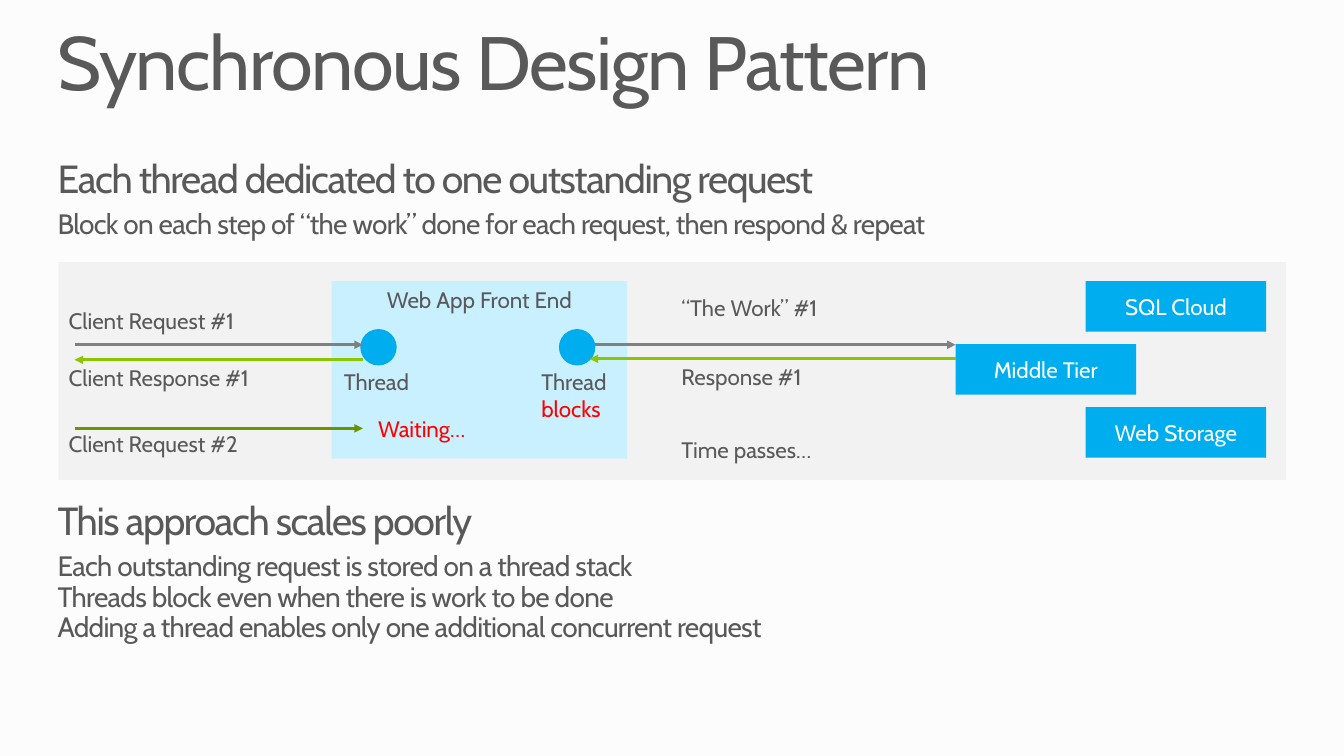
from lxml.etree import SubElement
from pptx import Presentation
from pptx.dml.color import RGBColor
from pptx.enum.shapes import MSO_CONNECTOR, MSO_SHAPE
from pptx.enum.text import MSO_ANCHOR, PP_ALIGN
from pptx.oxml.ns import qn
from pptx.util import Inches, Pt

colour = RGBColor.from_string
GREY, RED, WHITE, BLUE = "595959", "FF0000", "FFFFFF", "00AEEF"

deck = Presentation()
deck.slide_width, deck.slide_height = Inches(13.33), Inches(7.5)
slide = deck.slides.add_slide(deck.slide_layouts[6])
slide.background.fill.solid()
slide.background.fill.fore_color.rgb = colour("FCFCFC")


def place(*percents):
    sides = (deck.slide_width, deck.slide_height) * 2
    return [round(side * percent / 100) for side, percent in zip(sides, percents)]


def write(frame, text, size=16, hue=GREY, tracking=0, after=0, leading=1.0, align=PP_ALIGN.LEFT):
    paragraph = frame.add_paragraph() if frame.text else frame.paragraphs[0]
    paragraph.alignment = align
    paragraph.line_spacing = leading
    paragraph.space_after = Pt(after)
    run = paragraph.add_run()
    run.text = text
    run.font.size = Pt(size)
    run.font.name = "Cabin"
    run.font.color.rgb = colour(hue)
    run._r.get_or_add_rPr().set("spc", str(tracking))


prose = [
    (3.33, 10.93, [("Synchronous Design Pattern", 54, -100, 0)]),
    (21.07, 12, [
        ("Each thread dedicated to one outstanding request", 28, -100, 6),
        ("Block on each step of “the work” done for each request, then respond & repeat", 20, -50, 0),
    ]),
    (66.4, 20, [
        ("This approach scales poorly", 28, -100, 6),
        ("Each outstanding request is stored on a thread stack", 20, -50, 0),
        ("Threads block even when there is work to be done", 20, -50, 0),
        ("Adding a thread enables only one additional concurrent request", 20, -50, 0),
    ]),
]
for top, height, lines in prose:
    frame = slide.shapes.add_textbox(*place(4.28, top, 91.43, height)).text_frame
    frame.word_wrap = True
    frame.margin_left = frame.margin_right = frame.margin_top = frame.margin_bottom = 0
    for text, size, tracking, after in lines:
        write(frame, text, size, GREY, tracking, after, 0.9)

tier_top, tier_step, tier_size = 37.2, 8.33, (13.43, 6.67)
areas = [
    ("", (4.35, 34.67, 91.35, 28.8), "F2F2F2", GREY, MSO_ANCHOR.TOP),
    ("Web App Front End", (24.68, tier_top, 21.98, 23.47), "C9F0FF", GREY, MSO_ANCHOR.TOP),
]
for row, (service, left) in enumerate([("SQL Cloud", 80.78), ("Middle Tier", 71.1), ("Web Storage", 80.78)]):
    areas.append((service, (left, tier_top + row * tier_step, *tier_size), BLUE, WHITE, MSO_ANCHOR.MIDDLE))
for label, box, fill, hue, anchor in areas:
    area = slide.shapes.add_shape(MSO_SHAPE.RECTANGLE, *place(*box))
    area.shadow.inherit = False
    area.fill.solid()
    area.fill.fore_color.rgb = colour(fill)
    area.line.fill.background()
    if label:
        area.text_frame.vertical_anchor = anchor
        write(area.text_frame, label, hue=hue, align=PP_ALIGN.CENTER)

for left in (26.85, 41.63):
    thread = slide.shapes.add_shape(MSO_SHAPE.OVAL, *place(left, 43.6, 2.63, 4.67))
    thread.shadow.inherit = False
    thread.fill.solid()
    thread.fill.fore_color.rgb = colour(BLUE)
    thread.line.color.rgb = colour("00AAEA")
    thread.line.width = Pt(0.75)

client, front_end, middle_tier = 5.55, 27, 71.1
messages = [
    (44.25, middle_tier, 45.6, "808080"),
    (client, front_end, 45.6, "808080"),
    (front_end, client, 47.6, "8CC600"),
    (client, front_end, 56.67, "699400"),
    (middle_tier, 43.88, 47.47, "8CC600"),
]
for start, end, level, hue in messages:
    message = slide.shapes.add_connector(MSO_CONNECTOR.STRAIGHT, *place(start, level, end, level))
    message.line.color.rgb = colour(hue)
    message.line.width = Pt(2)
    SubElement(message.line._get_or_add_ln(), qn("a:tailEnd"), type="triangle")
    SubElement(message._element.spPr, qn("a:effectLst"))

captions = [
    ("Client Request #1", 5.1, 40.67, 12.98, GREY),
    ("Client Response #1", 5.1, 48.13, 14.18, GREY),
    ("Client Request #2", 5.1, 56.93, 12.98, GREY),
    ("“The Work” #1", 50.7, 38.93, 11.25, GREY),
    ("Response #1", 50.7, 48, 9.45, GREY),
    ("Time passes…", 50.7, 57.73, 10.13, GREY),
    ("Thread", 25.58, 48.67, 5.1, GREY),
    ("Thread", 40.28, 48.67, 5.1, GREY),
    ("Waiting…", 28.13, 54.93, 6.9, RED),
    ("blocks", 40.28, 52.27, 4.73, RED),
]
for text, left, top, width, hue in captions:
    frame = slide.shapes.add_textbox(*place(left, top, width, 3.6)).text_frame
    frame.word_wrap = False
    frame.margin_left = frame.margin_right = frame.margin_top = frame.margin_bottom = 0
    write(frame, text, hue=hue)

deck.save("out.pptx")
